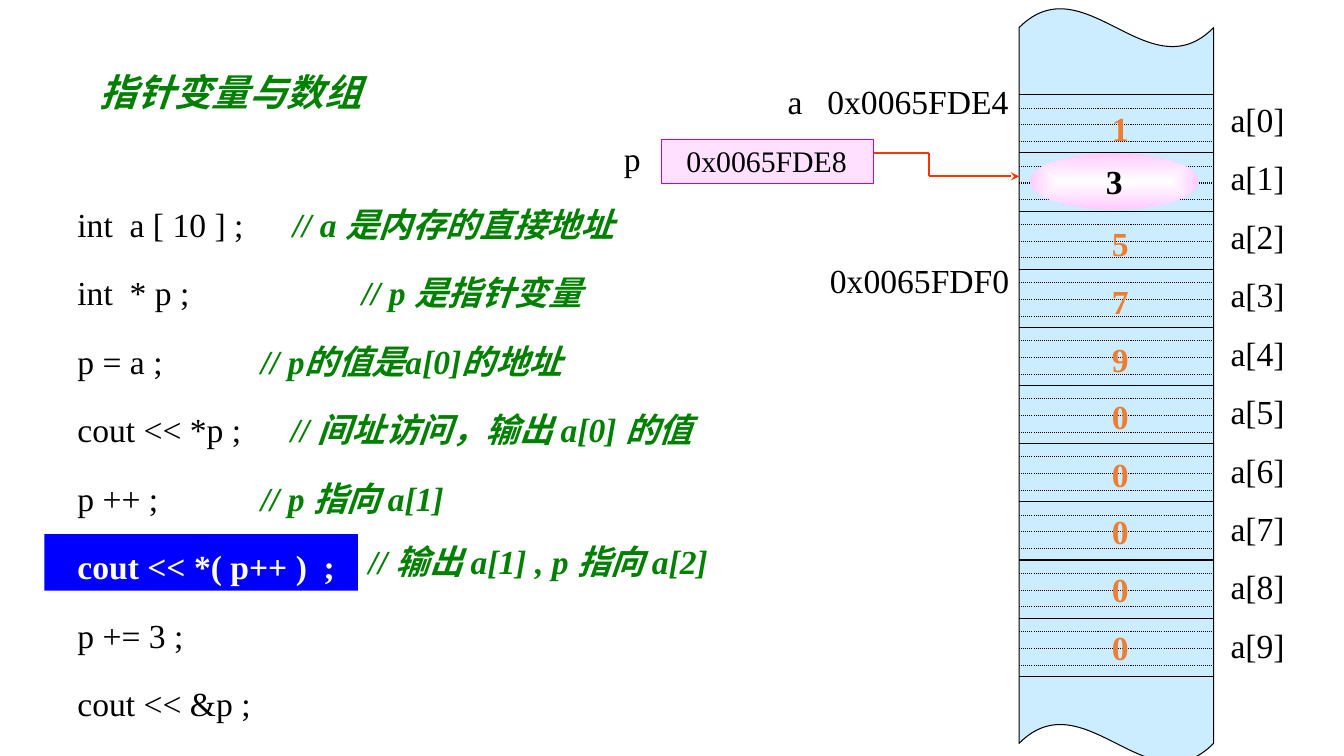
from dataclasses import dataclass
from itertools import pairwise

import lxml.etree
import pptx
import pptx.dml.color
import pptx.enum.dml
import pptx.enum.shapes
import pptx.enum.text
import pptx.oxml
import pptx.oxml.ns
import pptx.util

Pt = pptx.util.Pt
qn = pptx.oxml.ns.qn
Align = pptx.enum.text.PP_ALIGN
Preset = pptx.enum.shapes.MSO_SHAPE

BLACK = "000000"
GREEN = "008000"
RED = "FF3300"
MEMORY_LEFT, MEMORY_RIGHT = 727.92, 866.88
FIRST_CELL_TOP, CELL_HEIGHT = 67.68, 41.54
BYTE_OFFSETS = (9.5, 21.5, 33.5)
VALUES = (1, 3, 5, 7, 9, 0, 0, 0, 0, 0)


@dataclass(frozen=True)
class Box:
    left: float
    top: float
    width: float
    height: float


@dataclass(frozen=True)
class Statement:
    code: str
    comment: str = ""
    tab: float = 0
    color: str = BLACK
    bold: bool = False


STATEMENTS = (
    Statement("int  a [ 10 ] ;", "// a 是内存的直接地址", 153.9),
    Statement("int  * p ;", "// p 是指针变量", 203.1),
    Statement("p = a ;", "// p的值是a[0]的地址", 131),
    Statement("cout << *p ;", "// 间址访问，输出 a[0] 的值", 152.4),
    Statement("p ++ ;", "// p 指向 a[1]", 131),
    Statement("cout << *( p++ )  ;", color="FFFFFF", bold=True),
    Statement("p += 3 ;"),
    Statement("cout << &p ;"),
)


def rgb(color: str) -> pptx.dml.color.RGBColor:
    return pptx.dml.color.RGBColor.from_string(color)


def add_run(paragraph, text: str, *, size: float = 24, color: str = BLACK,
            bold: bool = False, italic: bool = False) -> None:
    run = paragraph.add_run()
    run.text = text
    run.font.name = "Times New Roman"
    run.font.size = Pt(size)
    run.font.color.rgb = rgb(color)
    run.font.bold = bold
    run.font.italic = italic


def add_frame(slide, box: Box, wrap: bool = True):
    frame = slide.shapes.add_textbox(
        Pt(box.left), Pt(box.top), Pt(box.width), Pt(box.height)).text_frame
    frame.word_wrap = wrap
    return frame


def add_paragraph(frame, first: bool, align=Align.LEFT,
                  spacing: float | None = None, tab: float = 0):
    paragraph = frame.paragraphs[0] if first else frame.add_paragraph()
    paragraph.alignment = align
    paragraph.line_spacing = spacing
    if tab:
        properties = paragraph._p.get_or_add_pPr()
        stops = lxml.etree.SubElement(properties, qn("a:tabLst"))
        lxml.etree.SubElement(stops, qn("a:tab"), pos=str(int(Pt(tab))), algn="l")
    return paragraph


def add_text(slide, box: Box, *lines: str, wrap: bool = True, align=Align.LEFT,
             spacing: float | None = None, tab: float = 0, **style) -> None:
    frame = add_frame(slide, box, wrap)
    for index, line in enumerate(lines):
        add_run(add_paragraph(frame, index == 0, align, spacing, tab), line, **style)


def add_statements(slide, box: Box) -> None:
    frame = add_frame(slide, box)
    for index, statement in enumerate(STATEMENTS):
        paragraph = add_paragraph(frame, index == 0, spacing=1.7, tab=statement.tab)
        gap = "\t" if statement.comment else ""
        add_run(paragraph, statement.code + gap,
                color=statement.color, bold=statement.bold)
        if statement.comment:
            add_run(paragraph, statement.comment, color=GREEN, bold=True, italic=True)


def add_shape(slide, preset, box: Box, fill: str | None = None, line: str | None = None):
    shape = slide.shapes.add_shape(
        preset, Pt(box.left), Pt(box.top), Pt(box.width), Pt(box.height))
    shape.shadow.inherit = False
    if fill:
        shape.fill.solid()
        shape.fill.fore_color.rgb = rgb(fill)
    if line:
        shape.line.color.rgb = rgb(line)
        shape.line.width = Pt(0.75)
    else:
        shape.line.fill.background()
    return shape


def add_line(slide, start: tuple[float, float], end: tuple[float, float],
             color: str = BLACK, width: float = 0.75,
             dotted: bool = False, arrow: bool = False) -> None:
    connector = slide.shapes.add_connector(
        pptx.enum.shapes.MSO_CONNECTOR.STRAIGHT,
        Pt(start[0]), Pt(start[1]), Pt(end[0]), Pt(end[1]))
    connector.line.color.rgb = rgb(color)
    connector.line.width = Pt(width)
    if dotted:
        connector.line.dash_style = pptx.enum.dml.MSO_LINE.ROUND_DOT
    if arrow:
        outline = connector.line._get_or_add_ln()
        lxml.etree.SubElement(outline, qn("a:tailEnd"), type="stealth")
    lxml.etree.SubElement(connector._element.spPr, qn("a:effectLst"))


def add_memory(slide) -> None:
    strip = add_shape(slide, Preset.WAVE,
                      Box(MEMORY_LEFT, 5.76, MEMORY_RIGHT - MEMORY_LEFT, 539.28),
                      "CCECFF", BLACK)
    strip.adjustments[0] = 0.026
    strip.adjustments[1] = 0
    for cell in range(len(VALUES) + 1):
        top = FIRST_CELL_TOP + cell * CELL_HEIGHT
        add_line(slide, (MEMORY_LEFT, top), (MEMORY_RIGHT, top))
        if cell < len(VALUES):
            for offset in BYTE_OFFSETS:
                add_line(slide, (MEMORY_LEFT, top + offset),
                         (MEMORY_RIGHT, top + offset), dotted=True)


def add_current_value(slide) -> None:
    oval = add_shape(slide, Preset.OVAL, Box(735.84, 109.44, 120.24, 40.32))
    oval.fill.gradient()
    gradient = oval._element.spPr.find(qn("a:gradFill"))
    gradient.getparent().replace(gradient, pptx.oxml.parse_xml(
        f'<a:gradFill {pptx.oxml.ns.nsdecls("a")} rotWithShape="1"><a:gsLst>'
        '<a:gs pos="0"><a:srgbClr val="FFFFFF"/></a:gs>'
        '<a:gs pos="100000"><a:srgbClr val="FFCCFF"/></a:gs></a:gsLst>'
        '<a:path path="shape"><a:fillToRect l="50000" t="50000" r="50000" b="50000"/>'
        '</a:path></a:gradFill>'))
    frame = oval.text_frame
    frame.word_wrap = False
    frame.vertical_anchor = pptx.enum.text.MSO_ANCHOR.MIDDLE
    add_run(add_paragraph(frame, True, Align.CENTER), "3", bold=True)


def main() -> None:
    presentation = pptx.Presentation()
    presentation.slide_width = Pt(960)
    presentation.slide_height = Pt(540)
    slide = presentation.slides.add_slide(presentation.slide_layouts[6])

    add_shape(slide, Preset.RECTANGLE, Box(31.68, 381.6, 223.92, 40.32), "0000FF")
    add_text(slide, Box(871.92, 54, 64.08, 447.84),
             *(f"a[{index}]" for index in range(len(VALUES))), spacing=1.45)
    add_text(slide, Box(555.6, 54, 172.32, 43.2), "a\t0x0065FDE4", tab=28.3)
    add_memory(slide)
    add_text(slide, Box(576, 182.16, 151.92, 43.2), "0x0065FDF0", align=Align.RIGHT)
    add_text(slide, Box(786.96, 61.2, 26.64, 423.36), *map(str, VALUES), wrap=False,
             align=Align.CENTER, spacing=1.43, color="ED7D31", bold=True)
    add_statements(slide, Box(48.24, 121.68, 499.68, 402.48))

    add_shape(slide, Preset.RECTANGLE, Box(472.32, 99.36, 151.92, 31.68),
              "FFE1FF", "CC00CC")
    add_text(slide, Box(438.48, 95.04, 26.64, 36), "p", wrap=False)
    add_text(slide, Box(482.4, 98.64, 130.32, 33.12), "0x0065FDE8", wrap=False,
             align=Align.CENTER, size=21.3)
    pointer_route = ((624.24, 109.44), (663.84, 109.44),
                     (663.84, 126), (MEMORY_LEFT, 126))
    for start, end in pairwise(pointer_route):
        add_line(slide, start, end, RED, 1.5, arrow=end == pointer_route[-1])

    add_text(slide, Box(256.32, 383.04, 269.28, 36), "// 输出 a[1] , p 指向 a[2]",
             color=GREEN, bold=True, italic=True)
    add_current_value(slide)
    add_text(slide, Box(64.08, 46.08, 210.24, 39.6), "指针变量与数组", wrap=False,
             size=26.7, color=GREEN, bold=True, italic=True)
    presentation.save("out.pptx")


if __name__ == "__main__":
    main()
